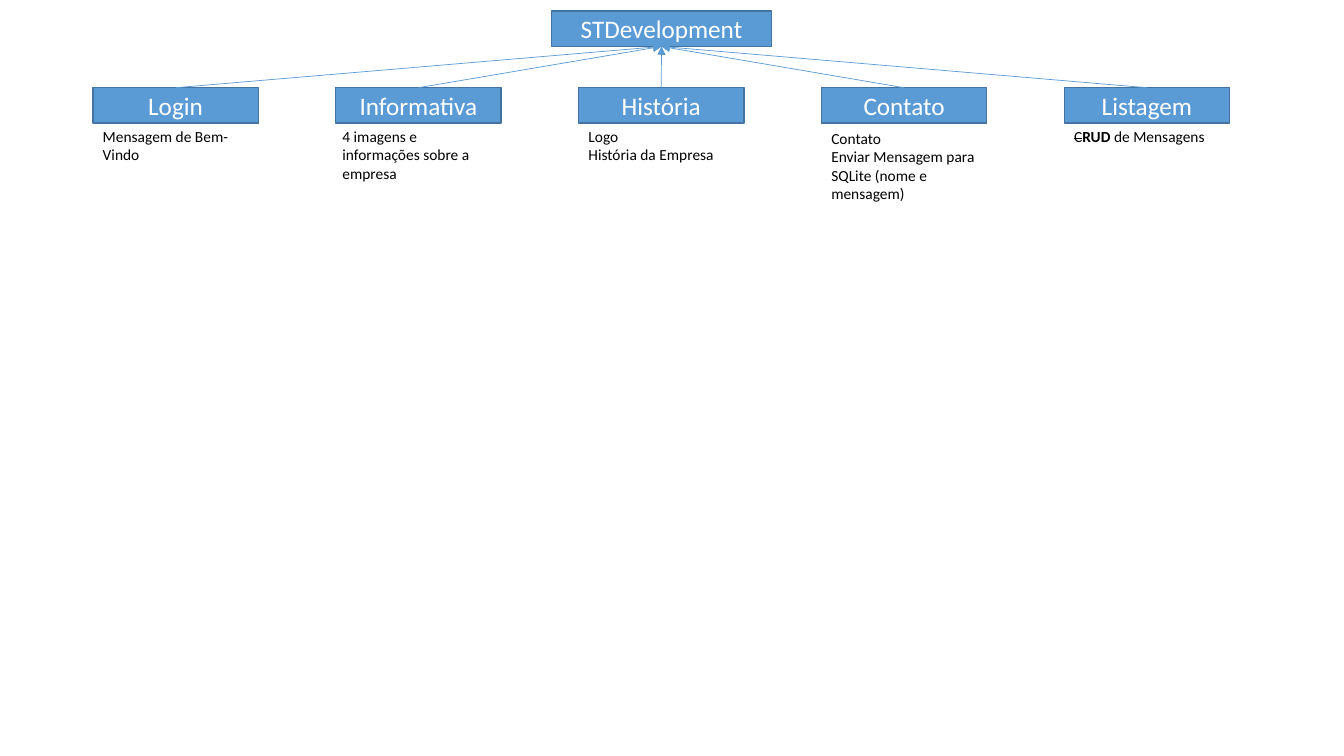
from lxml.etree import SubElement
from pptx import Presentation
from pptx.dml.color import RGBColor
from pptx.enum.shapes import MSO_CONNECTOR, MSO_SHAPE
from pptx.enum.text import MSO_ANCHOR, MSO_AUTO_SIZE, PP_ALIGN
from pptx.oxml.ns import qn
from pptx.util import Cm, Pt

HUES = {"fill": "5B9BD5", "edge": "43739E", "white": "FFFFFF", "black": "000000"}
COLS = {name: RGBColor.from_string(hue) for name, hue in HUES.items()}
LEFT, STEP, WIDE, HIGH = 2.34, 6.12, 4.17, 0.89
TOP = 2.21

# Page title, note text, note height, note shift right and down
PAGES = [
    ("Login", "Mensagem de Bem-Vindo", 1.19, 0, 0),
    ("Informativa", "4 imagens e informações sobre a empresa", 1.68, -0.08, 0),
    ("História", "Logo\nHistória da Empresa", 1.19, 0, 0),
    ("Contato", "Contato\nEnviar Mensagem para SQLite (nome e mensagem)", 2.13, 0, 0.05),
    ("Listagem", "C", 0.74, 0, 0),
]

deck = Presentation()
deck.slide_width, deck.slide_height = Cm(33.87), Cm(19.05)
slide = deck.slides.add_slide(deck.slide_layouts[6])
shapes = slide.shapes


def style(frame, size, color):
    for para in frame.paragraphs:
        for run in para.runs:
            run.font.name = "Calibri"
            run.font.size = Pt(size)
            run.font.color.rgb = COLS[color]


def add_box(text, left, top, wide):
    box = shapes.add_shape(MSO_SHAPE.RECTANGLE, Cm(left), Cm(top), Cm(wide), Cm(HIGH))
    box.shadow.inherit = False
    box.fill.solid()
    box.fill.fore_color.rgb = COLS["fill"]
    box.line.color.rgb = COLS["edge"]
    box.line.width = Pt(1)
    frame = box.text_frame
    frame.text = text
    frame.vertical_anchor = MSO_ANCHOR.MIDDLE
    frame.paragraphs[0].alignment = PP_ALIGN.CENTER
    style(frame, 18, "white")
    return box


# Root and page boxes
root = add_box("STDevelopment", 13.9, 0.28, 5.54)
boxes = [add_box(page[0], LEFT + i * STEP, TOP, WIDE) for i, page in enumerate(PAGES)]

# Arrows from each page up to the root
for box in boxes:
    arrow = shapes.add_connector(MSO_CONNECTOR.STRAIGHT, 0, 0, 0, 0)
    arrow.begin_connect(box, 0)
    arrow.end_connect(root, 2)
    arrow.line.color.rgb = COLS["fill"]
    arrow.line.width = Pt(0.5)
    SubElement(arrow.line._get_or_add_ln(), qn("a:tailEnd"), type="triangle")
    SubElement(arrow._element.spPr, qn("a:effectLst"))

# Notes below the pages
for i, (title, text, high, right, down) in enumerate(PAGES):
    note = shapes.add_textbox(Cm(LEFT + i * STEP + right), Cm(3.07 + down), Cm(WIDE), Cm(high))
    frame = note.text_frame
    frame.word_wrap = True
    frame.auto_size = MSO_AUTO_SIZE.SHAPE_TO_FIT_TEXT
    frame.text = text
    if title == "Listagem":
        para = frame.paragraphs[0]
        para.runs[0].font._element.set("strike", "sngStrike")
        bold = para.add_run()
        bold.text = "RUD"
        bold.font.bold = True
        para.add_run().text = " de Mensagens"
    style(frame, 11, "black")

deck.save("out.pptx")
